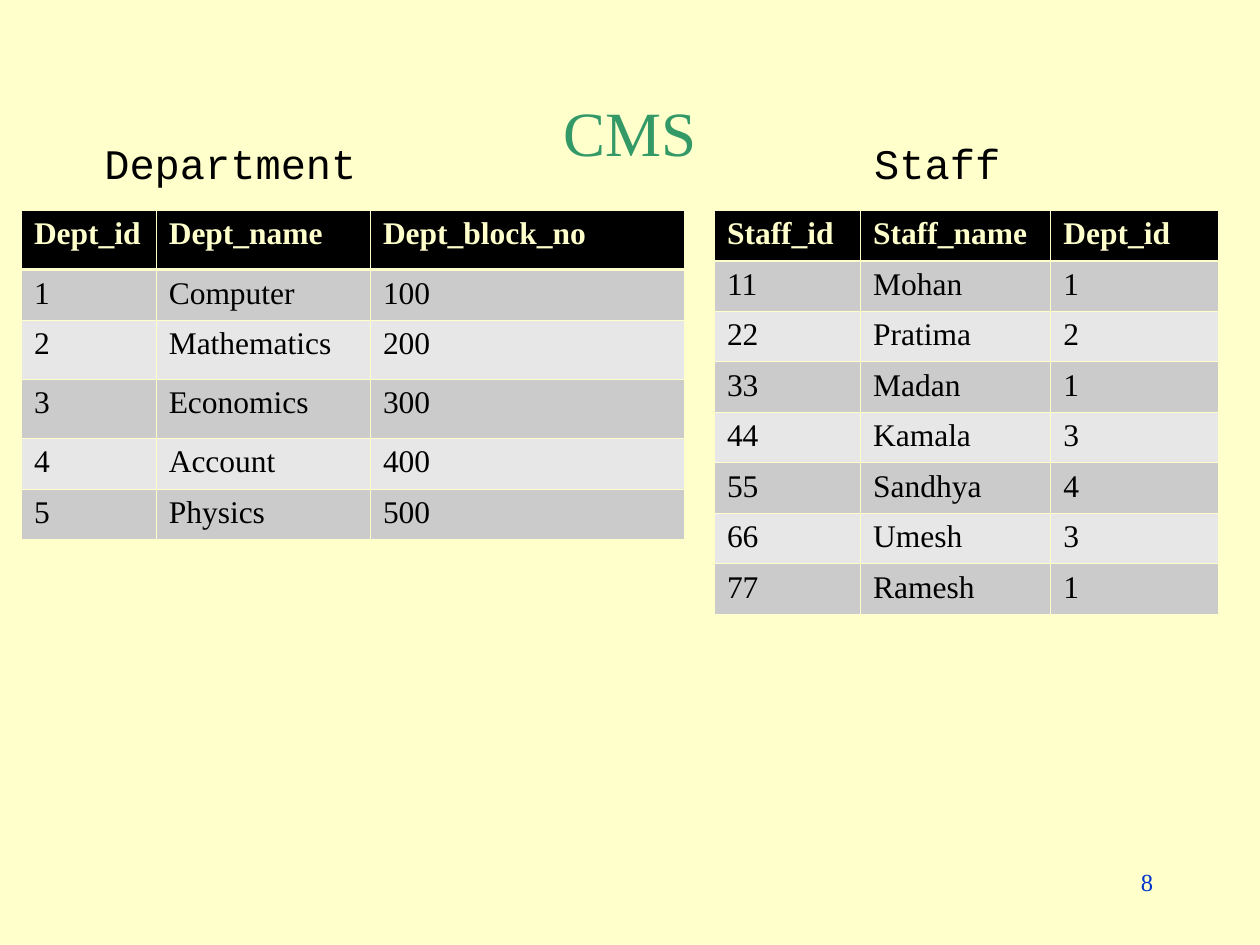
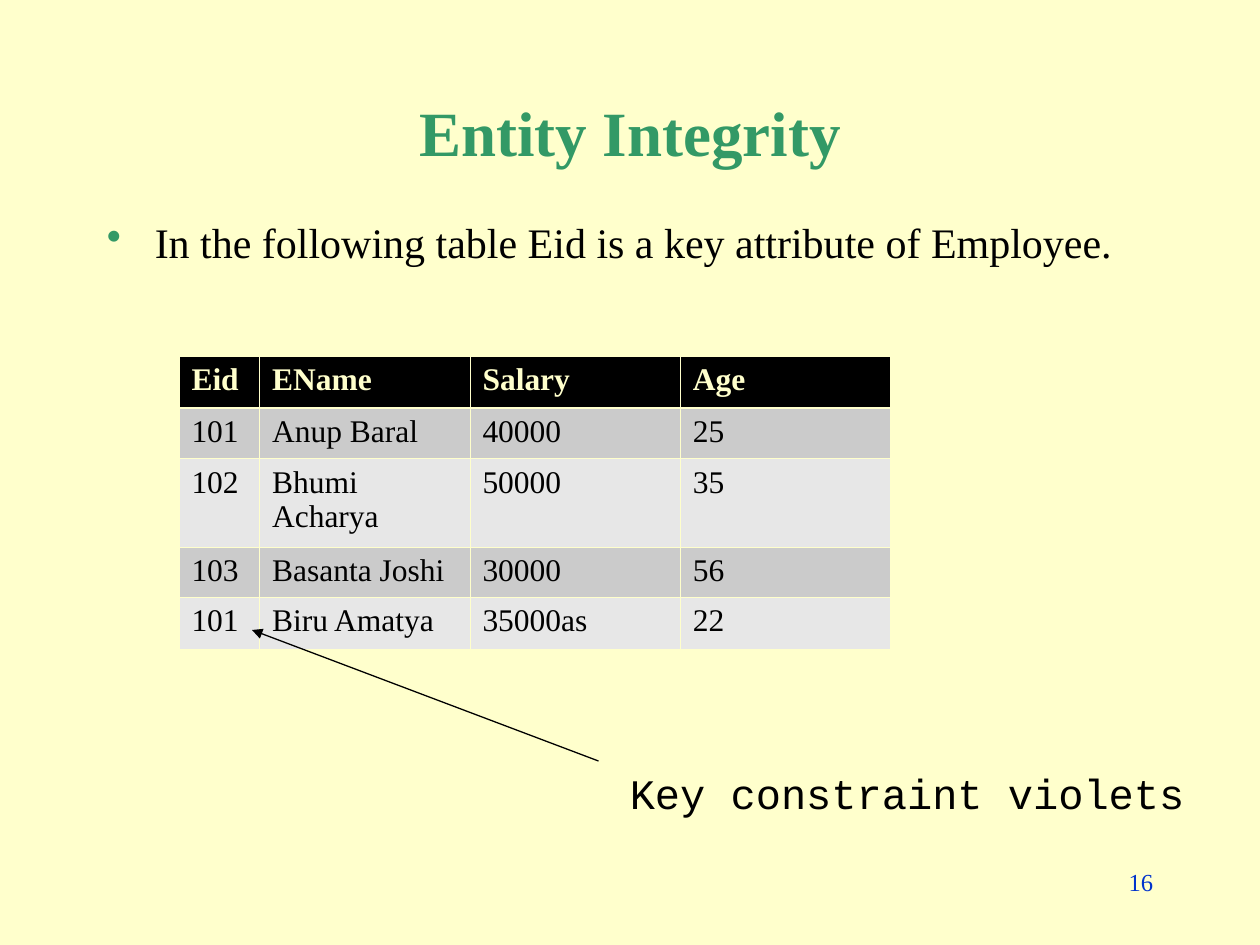
"""Build two database slides: the CMS tables and an entity integrity example."""
from lxml import etree
from pptx import Presentation
from pptx.dml.color import RGBColor
from pptx.enum.shapes import MSO_CONNECTOR
from pptx.enum.text import MSO_ANCHOR, MSO_AUTO_SIZE, PP_ALIGN
from pptx.oxml.ns import qn
from pptx.util import Inches, Pt

STRAIGHT = MSO_CONNECTOR.STRAIGHT
MIDDLE = MSO_ANCHOR.MIDDLE
FIT_SHAPE = MSO_AUTO_SIZE.SHAPE_TO_FIT_TEXT
LEFT, CENTER, RIGHT = PP_ALIGN.LEFT, PP_ALIGN.CENTER, PP_ALIGN.RIGHT

CREAM = RGBColor(0xFF, 0xFF, 0xCC)
GREEN = RGBColor(0x33, 0x99, 0x66)
BLUE = RGBColor(0x00, 0x33, 0xCC)
BLACK = RGBColor(0x00, 0x00, 0x00)
DARK_BAND = RGBColor(0xCB, 0xCB, 0xCB)
LIGHT_BAND = RGBColor(0xE7, 0xE7, 0xE7)

SERIF, MONO = "Times New Roman", "Courier New"
TITLE = {"name": SERIF, "size": Pt(36), "color": GREEN}
BODY = {"name": SERIF, "size": Pt(24), "color": BLACK}
LABEL = {"name": MONO, "size": Pt(24), "color": BLACK}
NUMBER = {"name": SERIF, "size": Pt(14), "color": BLUE}
HEADER_CELL = {"name": SERIF, "size": Pt(18), "color": CREAM, "bold": True}
BODY_CELL = {"name": SERIF, "size": Pt(18), "color": BLACK, "bold": False}


def write(frame, text, style, align=LEFT):
    """Put one formatted run in the first paragraph of a text frame."""
    para = frame.paragraphs[0]
    para.alignment = align
    span = para.add_run()
    span.text = text
    for name, value in style.items():
        if name == "color":
            span.font.color.rgb = value
        else:
            setattr(span.font, name, value)
    return para


def add_grid(page, left, top, widths, heights, rows):
    """Add a table with a black header row and grey bands."""
    grid = page.shapes.add_table(len(rows), len(widths), Inches(left), Inches(top),
                                 Inches(sum(widths)), Inches(sum(heights))).table
    for column, width in zip(grid.columns, widths):
        column.width = Inches(width)
    for row_index, (values, height) in enumerate(zip(rows, heights)):
        grid.rows[row_index].height = Inches(height)
        is_header = row_index == 0
        band = BLACK if is_header else DARK_BAND if row_index % 2 else LIGHT_BAND
        thick_edge = {0: "lnB", 1: "lnT"}.get(row_index)
        for column_index, value in enumerate(values):
            cell = grid.cell(row_index, column_index)
            write(cell.text_frame, value, HEADER_CELL if is_header else BODY_CELL)
            properties = cell._tc.get_or_add_tcPr()
            for edge in ("lnL", "lnR", "lnT", "lnB"):
                weight = Pt(1.47 if edge == thick_edge else 0.45)
                border = etree.SubElement(properties, qn(f"a:{edge}"), w=str(weight))
                paint = etree.SubElement(border, qn("a:solidFill"))
                etree.SubElement(paint, qn("a:srgbClr"), val=str(CREAM))
            cell.fill.solid()
            cell.fill.fore_color.rgb = band


deck = Presentation()
deck.slide_width, deck.slide_height = Inches(10), Inches(7.5)
background = deck.slide_master.background.fill
background.solid()
background.fore_color.rgb = CREAM
title_only = deck.slide_layouts[5]

SLIDES = [
    ("CMS", False, "8", [("Department", 0.73, 1.04, 2.2), ("Staff", 6.84, 1.04, 1.2)]),
    ("Entity Integrity", True, "16", [("Key constraint violets", 4.9, 6.04, 4.6)]),
]
pages = []
for heading, bold, number, labels in SLIDES:
    page = deck.slides.add_slide(title_only)
    pages.append(page)
    title = page.shapes.title
    title.left, title.top = Inches(0.75), Inches(0.67)
    title.width, title.height = Inches(8.5), Inches(0.75)
    title.text_frame.vertical_anchor = MIDDLE
    write(title.text_frame, heading, {**TITLE, "bold": bold}, CENTER)

    box = page.shapes.add_textbox(Inches(7.17), Inches(6.83), Inches(2.08), Inches(0.5))
    box.text_frame.word_wrap = True
    write(box.text_frame, number, NUMBER, RIGHT)

    for text, left, top, width in labels:
        box = page.shapes.add_textbox(Inches(left), Inches(top), Inches(width), Inches(0.5))
        box.text_frame.word_wrap = False
        box.text_frame.auto_size = FIT_SHAPE
        write(box.text_frame, text, LABEL)

cms_page, integrity_page = pages

add_grid(cms_page, 0.17, 1.67, [1.07, 1.7, 2.49], [0.47, 0.4, 0.47, 0.47, 0.4, 0.4], [
    ("Dept_id", "Dept_name", "Dept_block_no"),
    ("1", "Computer", "100"),
    ("2", "Mathematics", "200"),
    ("3", "Economics", "300"),
    ("4", "Account", "400"),
    ("5", "Physics", "500"),
])
add_grid(cms_page, 5.67, 1.67, [1.16, 1.51, 1.33], [0.4] * 8, [
    ("Staff_id", "Staff_name", "Dept_id"),
    ("11", "Mohan", "1"),
    ("22", "Pratima", "2"),
    ("33", "Madan", "1"),
    ("44", "Kamala", "3"),
    ("55", "Sandhya", "4"),
    ("66", "Umesh", "3"),
    ("77", "Ramesh", "1"),
])

box = integrity_page.shapes.add_textbox(Inches(0.75), Inches(1.67), Inches(8.25), Inches(4.92))
box.text_frame.word_wrap = True
para = write(box.text_frame, "In the following table Eid is a key attribute of Employee.", BODY)
para.space_before = Pt(18)
properties = para._p.get_or_add_pPr()
properties.set("marL", str(Inches(0.38)))
properties.set("indent", str(Inches(-0.38)))
bullet_color = etree.SubElement(properties, qn("a:buClr"))
etree.SubElement(bullet_color, qn("a:srgbClr"), val=str(GREEN))
etree.SubElement(properties, qn("a:buChar"), char="•")

add_grid(integrity_page, 1.42, 2.83, [0.64] + [1.67] * 3, [0.41, 0.4, 0.7, 0.4, 0.41], [
    ("Eid", "EName", "Salary", "Age"),
    ("101", "Anup Baral", "40000", "25"),
    ("102", "Bhumi Acharya", "50000", "35"),
    ("103", "Basanta Joshi", "30000", "56"),
    ("101", "Biru Amatya", "35000as", "22"),
])

arrow = integrity_page.shapes.add_connector(STRAIGHT, Inches(4.75), Inches(6.04),
                                            Inches(2), Inches(5))
arrow.line.color.rgb = BLACK
arrow.line.width = Pt(0.75)
etree.SubElement(arrow.line._get_or_add_ln(), qn("a:tailEnd"), type="triangle")
etree.SubElement(arrow._element.spPr, qn("a:effectLst"))

deck.save("out.pptx")
